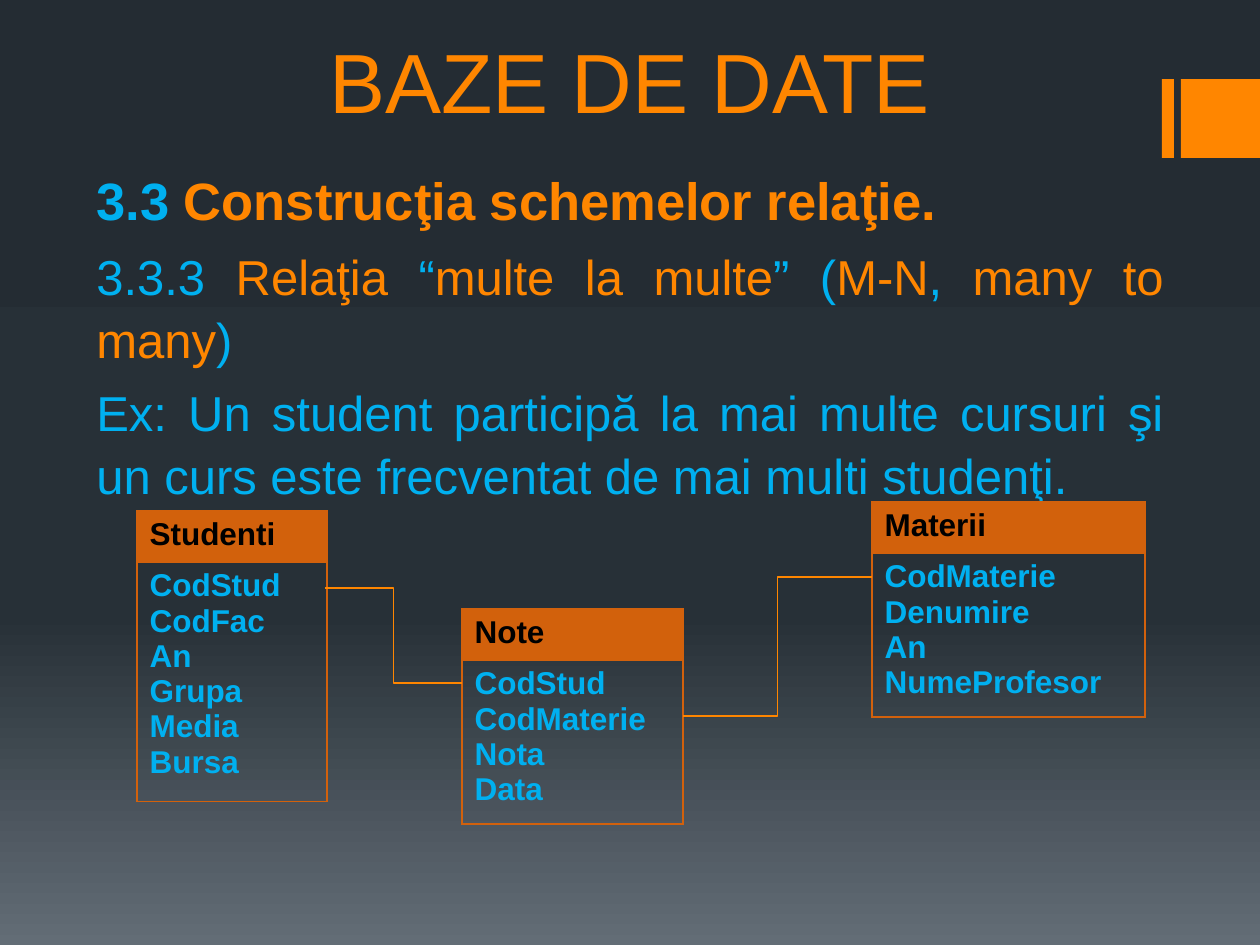
from copy import deepcopy
from dataclasses import dataclass

from lxml import etree
from pptx import Presentation
from pptx.dml.color import RGBColor
from pptx.enum.shapes import MSO_CONNECTOR, MSO_SHAPE
from pptx.enum.text import MSO_ANCHOR, PP_ALIGN
from pptx.oxml.ns import qn
from pptx.util import Emu, Pt

RECTANGLE = MSO_SHAPE.RECTANGLE
ELBOW = MSO_CONNECTOR.ELBOW
TOP, BOTTOM = MSO_ANCHOR.TOP, MSO_ANCHOR.BOTTOM
LEFT, CENTER, JUSTIFY = PP_ALIGN.LEFT, PP_ALIGN.CENTER, PP_ALIGN.JUSTIFY
PX = 914400 / 126


@dataclass(frozen=True)
class Theme:
    font: str = "Arial"
    orange: str = "FF8600"
    blue: str = "00B0F0"
    border: str = "D2610C"
    black: str = "000000"
    backdrop: tuple = ((0, "242C33"), (0.65, "273037"), (1, "636D76"))
    title: int = 48
    heading: int = 30
    body: int = 28
    field: int = 18


theme = Theme()


def px(*lengths):
    return [Emu(round(length * PX)) for length in lengths]


def write(frame, text, size, color, bold=False, align=LEFT, new=False, before=0, spacing=1.0):
    para = frame.add_paragraph() if new else frame.paragraphs[-1]
    para.alignment = align
    para.space_before = Pt(before)
    para.line_spacing = spacing
    span = para.add_run()
    span.text = text
    span.font.name = theme.font
    span.font.size = Pt(size)
    span.font.bold = bold
    span.font.color.rgb = RGBColor.from_string(color)


deck = Presentation()
deck.slide_width, deck.slide_height = px(1260, 945)
page = deck.slides.add_slide(deck.slide_layouts[6])

fill = page.background.fill
fill.gradient()
fill.gradient_angle = 270
stop_list = next(page.element.iter(qn("a:gsLst")))
stop_list.append(deepcopy(stop_list[-1]))
for stop, (position, color) in zip(fill.gradient_stops, theme.backdrop):
    stop.position = position
    stop.color.rgb = RGBColor.from_string(color)

for left, width in ((1162, 12), (1181, 79)):
    bar = page.shapes.add_shape(RECTANGLE, *px(left, 79, width, 79))
    bar.shadow.inherit = False
    bar.fill.solid()
    bar.fill.fore_color.rgb = RGBColor.from_string(theme.orange)
    bar.line.fill.background()

title = page.shapes.add_textbox(*px(95, 0, 1070, 137)).text_frame
title.word_wrap = True
title.vertical_anchor = BOTTOM
write(title, "BAZE DE DATE", theme.title, theme.orange, align=CENTER)

content = page.shapes.add_textbox(*px(84, 158, 1092, 703)).text_frame
content.word_wrap = True
content.vertical_anchor = TOP
paragraphs = (
    (theme.heading, True, LEFT, (
        ("3.3 ", theme.blue),
        ("Construcţia schemelor relaţie.", theme.orange),
    )),
    (theme.body, False, JUSTIFY, (
        ("3.3.3 ", theme.blue),
        ("Relaţia ", theme.orange),
        ("“", theme.blue),
        ("multe la multe", theme.orange),
        ("” (", theme.blue),
        ("M-N", theme.orange),
        (", ", theme.blue),
        ("many to many", theme.orange),
        (")", theme.blue),
    )),
    (theme.body, False, JUSTIFY, (
        ("Ex: Un student participă la mai multe cursuri şi un curs este "
         "frecventat de mai multi studenţi.", theme.blue),
    )),
)
for number, (size, bold, align, spans) in enumerate(paragraphs):
    for order, (text, color) in enumerate(spans):
        write(content, text, size, color, bold=bold, align=align,
              new=number > 0 and order == 0, before=6, spacing=1.07)

relations = (
    ("Studenti", 137, 511, 190, ("CodStud", "CodFac", "An", "Grupa", "Media", "Bursa")),
    ("Materii", 872, 502, 273, ("CodMaterie", "Denumire", "An", "NumeProfesor")),
    ("Note", 462, 609, 221, ("CodStud", "CodMaterie", "Nota", "Data")),
)
header_height, field_height, padding = 51, 35, 13
for name, left, top, width, fields in relations:
    body_height = field_height * len(fields) + padding
    table = page.shapes.add_table(2, 1, *px(left, top, width, header_height + body_height)).table
    table.horz_banding = False
    table.rows[0].height, table.rows[1].height = px(header_height, body_height)
    header, body = table.cell(0, 0), table.cell(1, 0)
    header.fill.solid()
    header.fill.fore_color.rgb = RGBColor.from_string(theme.border)
    body.fill.background()
    write(header.text_frame, name, theme.field, theme.black, bold=True)
    for order, field in enumerate(fields):
        write(body.text_frame, field, theme.field, theme.blue, bold=True, new=order > 0)
    for cell in (header, body):
        properties = cell._tc.get_or_add_tcPr()
        for place, side in enumerate(("a:lnL", "a:lnR", "a:lnT", "a:lnB")):
            edge = etree.Element(qn(side), w=str(Pt(1)))
            paint = etree.SubElement(edge, qn("a:solidFill"))
            etree.SubElement(paint, qn("a:srgbClr"), val=theme.border)
            properties.insert(place, edge)

for ends in ((325, 588, 462, 683), (872, 577, 683, 716)):
    link = page.shapes.add_connector(ELBOW, *px(*ends))
    link.line.color.rgb = RGBColor.from_string(theme.orange)
    link.line.width = Pt(1)
    etree.SubElement(link._element.spPr, qn("a:effectLst"))

deck.save("out.pptx")
